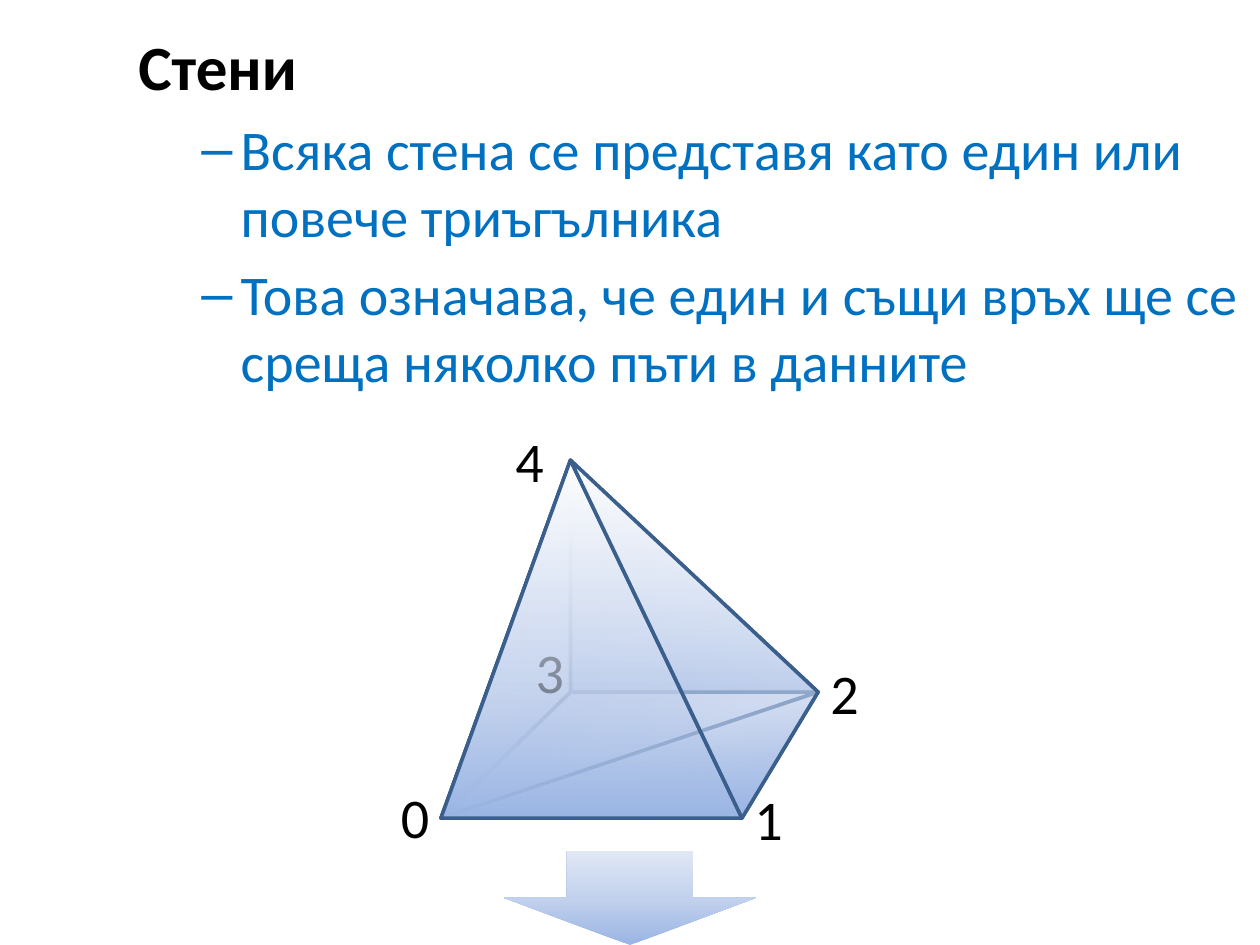
import dataclasses
import typing

import pptx
import pptx.dml.color
import pptx.enum.shapes
import pptx.enum.text
import pptx.oxml
import pptx.oxml.ns
import pptx.util

Pt = pptx.util.Pt
Stops = tuple[tuple[int, str, int], ...]

SOLID: Stops = ((0, "9AB5E4", 100), (50, "C2D1ED", 100), (100, "E1E8F5", 100))
FADE: Stops = ((0, "9AB5E4", 100), (50, "C2D1ED", 47), (100, "E1E8F5", 0))
FRONT: Stops = ((0, "9AB5E4", 100), (33, "C2D1ED", 61), (100, "FFFFFF", 100))


@dataclasses.dataclass
class Face:
    nodes: str
    stops: Stops
    angle: int


@dataclasses.dataclass
class Label:
    text: str
    left: float
    top: float


@dataclasses.dataclass
class Line:
    text: str
    size: int
    hue: str
    bold: bool
    level: int


NODES = {
    "0": (252, 467.5),
    "1": (424, 467.5),
    "2": (467.5, 395.5),
    "3": (326, 395.5),
    "4": (326, 263),
}

PARTS = (
    Face("032", FADE, 300),
    Face("432", FADE, 80),
    Face("430", FADE, 120),
    Face("410", FRONT, 90),
    Label("0", 222, 443.5),
    Face("012", FADE, 100),
    Label("3", 299, 361),
    Face("410", FRONT, 90),
    Face("412", FRONT, 90),
    Label("1", 424, 445),
    Label("2", 467.5, 373),
    Label("4", 287.5, 240),
)

LINES = (
    Line("Стени", 36, "000000", True, 0),
    Line("Всяка стена се представя като един или повече триъгълника", 32, "0070C0", False, 1),
    Line("Това означава, че един и същи връх ще се среща няколко пъти в данните", 32, "0070C0", False, 1),
)


def ink(code: str) -> pptx.dml.color.RGBColor:
    return pptx.dml.color.RGBColor.from_string(code)


def node(xml: str) -> typing.Any:
    space = pptx.oxml.ns.nsdecls("a")
    return pptx.oxml.parse_xml(xml.replace("NS", space, 1))


def shade(shape: typing.Any, stops: Stops, angle: int) -> None:
    shape.shadow.inherit = False
    shape.fill.gradient()
    shape.fill.gradient_angle = angle
    ramp = next(shape._element.spPr.iter(pptx.oxml.ns.qn("a:gsLst")))
    for old in list(ramp):
        ramp.remove(old)
    for place, code, alpha in stops:
        ramp.append(node(
            f'<a:gs NS pos="{place * 1000}"><a:srgbClr val="{ink(code)}">'
            f'<a:alpha val="{alpha * 1000}"/></a:srgbClr></a:gs>'
        ))


def style(run: typing.Any, size: int, hue: str, bold: bool) -> None:
    looks = {"name": "Calibri", "size": Pt(size), "bold": bold}
    for key, value in looks.items():
        setattr(run.font, key, value)
    run.font.color.rgb = ink(hue)


def draw_face(slide: typing.Any, face: Face) -> None:
    spots = [(Pt(x), Pt(y)) for x, y in (NODES[key] for key in face.nodes)]
    path = slide.shapes.build_freeform(*spots[0])
    path.add_line_segments(spots[1:], close=True)
    shape = path.convert_to_shape()
    shade(shape, face.stops, face.angle)
    shape.line.color.rgb = ink("3A5F8C")
    shape.line.width = Pt(2)


def draw_label(slide: typing.Any, label: Label) -> None:
    box = slide.shapes.add_textbox(Pt(label.left), Pt(label.top), Pt(31), Pt(46))
    frame = box.text_frame
    frame.word_wrap = False
    frame.auto_size = pptx.enum.text.MSO_AUTO_SIZE.SHAPE_TO_FIT_TEXT
    run = frame.paragraphs[0].add_run()
    run.text = label.text
    style(run, 32, "000000", False)


def draw_body(slide: typing.Any) -> None:
    box = slide.shapes.add_textbox(Pt(72), Pt(12), Pt(648), Pt(516))
    frame = box.text_frame
    frame.word_wrap = True
    for index, line in enumerate(LINES):
        para = frame.add_paragraph() if index else frame.paragraphs[0]
        para.level = line.level
        props = para._p.get_or_add_pPr()
        props.append(node('<a:spcBef NS><a:spcPct val="20000"/></a:spcBef>'))
        if line.level:
            props.set("marL", str(Pt(58.5)))
            props.set("indent", str(Pt(-22.5)))
            props.append(node('<a:buFont NS typeface="Arial"/>'))
            props.append(node('<a:buChar NS char="–"/>'))
        run = para.add_run()
        run.text = line.text
        style(run, line.size, line.hue, line.bold)


def draw_arrow(slide: typing.Any) -> None:
    kind = pptx.enum.shapes.MSO_SHAPE.DOWN_ARROW
    arrow = slide.shapes.add_shape(kind, Pt(288), Pt(486), Pt(144), Pt(54))
    shade(arrow, SOLID, 90)
    arrow.line.fill.background()


def main() -> None:
    deck = pptx.Presentation()
    deck.slide_width, deck.slide_height = Pt(720), Pt(540)
    slide = deck.slides.add_slide(deck.slide_layouts[6])
    draw_body(slide)
    draw_arrow(slide)
    for part in PARTS:
        if isinstance(part, Face):
            draw_face(slide, part)
        else:
            draw_label(slide, part)
    deck.save("out.pptx")


if __name__ == "__main__":
    main()
